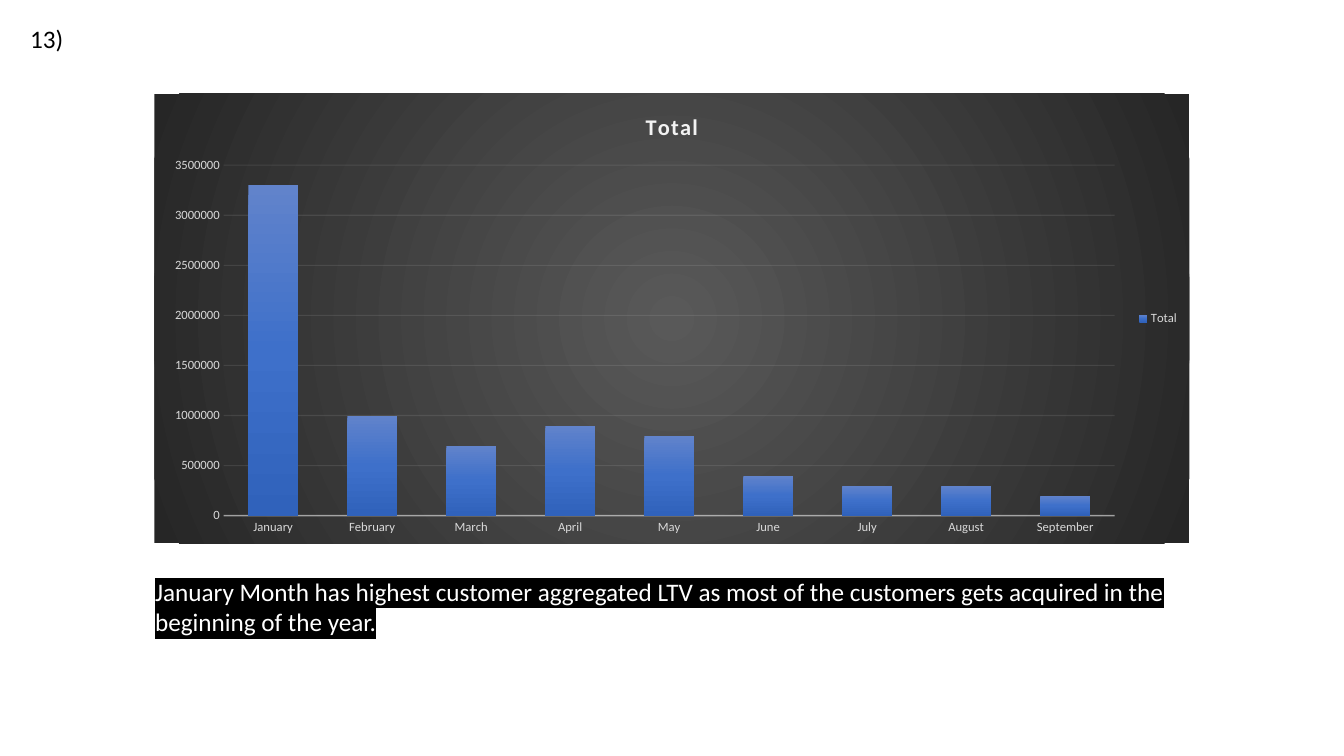
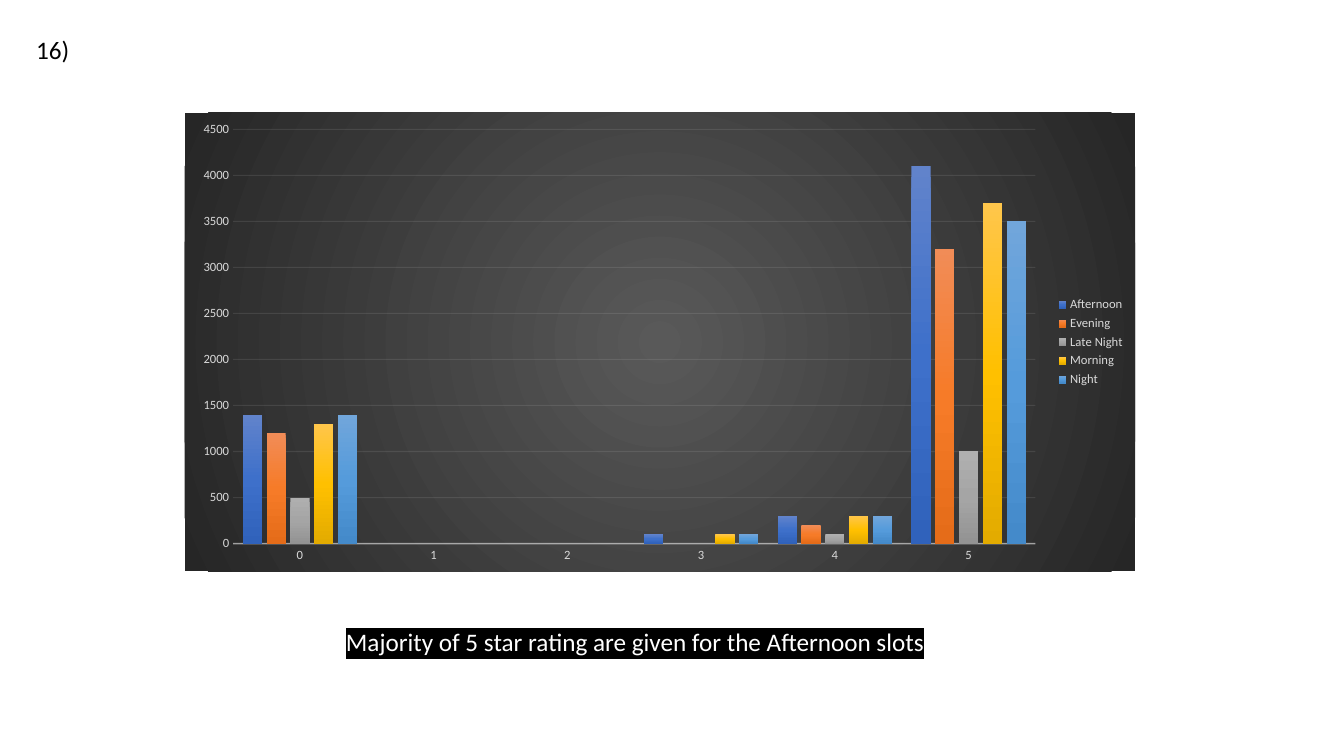
import dataclasses

import pptx
import pptx.chart.data
import pptx.dml.color
import pptx.enum.chart
import pptx.enum.text
import pptx.oxml
import pptx.oxml.ns
import pptx.util

Pt = pptx.util.Pt
qn = pptx.oxml.ns.qn
NS = pptx.oxml.ns.nsdecls("a", "c")


@dataclasses.dataclass(frozen=True)
class Theme:
    font: str = "Calibri"
    body_size: int = 18
    title_size: int = 16
    label_size: int = 9
    ink: str = "000000"
    paper: str = "FFFFFF"
    label: str = "D9D9D9"
    rule: str = "F2F2F2"
    panel: tuple = ("595959", "262626")
    bars: tuple = (
        ("6183CB", "3E70CA", "3062BB"),
        ("F18C57", "F67B28", "E56C19"),
        ("AFAFAF", "A5A5A5", "939393"),
        ("FFC64B", "FFC000", "E3AB00"),
        ("71A6DB", "559BDB", "448ACA"),
    )


def rgb(color):
    return pptx.dml.color.RGBColor.from_string(color)


def gradient(colors, direction):
    """Gradient fill with evenly spaced stops."""
    step = 100000 // (len(colors) - 1)
    stops = "".join(
        f'<a:gs pos="{i * step}"><a:srgbClr val="{color}"/></a:gs>'
        for i, color in enumerate(colors))
    return f"<a:gradFill {NS}><a:gsLst>{stops}</a:gsLst>{direction}</a:gradFill>"


def shape_format(fill):
    return pptx.oxml.parse_xml(
        f"<c:spPr {NS}>{fill}<a:ln><a:noFill/></a:ln></c:spPr>")


class Deck:
    VERTICAL = '<a:lin ang="5400000" scaled="0"/>'
    RADIAL = ('<a:path path="circle"><a:fillToRect l="50000" t="50000" '
              'r="50000" b="50000"/></a:path>')

    def __init__(self, theme):
        self.theme = theme
        self.file = pptx.Presentation()
        self.file.slide_width, self.file.slide_height = Pt(960), Pt(540)
        self.slide = None

    def new_slide(self):
        self.slide = self.file.slides.add_slide(self.file.slide_layouts[6])

    def style_font(self, font, size, color, bold=False):
        font.name, font.size, font.bold = self.theme.font, Pt(size), bold
        font.color.rgb = rgb(color)

    def stroke(self, line, width, opacity):
        line.width = Pt(width)
        line.color.rgb = rgb(self.theme.rule)
        color = line._get_or_add_ln().find(".//" + qn("a:srgbClr"))
        color.append(pptx.oxml.parse_xml(
            f'<a:alpha {NS} val="{opacity * 1000}"/>'))

    def text(self, words, box, color=None, highlight=None):
        frame = self.slide.shapes.add_textbox(*map(Pt, box)).text_frame
        frame.word_wrap = True
        frame.auto_size = pptx.enum.text.MSO_AUTO_SIZE.SHAPE_TO_FIT_TEXT
        run = frame.paragraphs[0].add_run()
        run.text = words
        self.style_font(run.font, self.theme.body_size, color or self.theme.ink)
        if highlight:
            run._r.rPr.find(qn("a:solidFill")).addnext(pptx.oxml.parse_xml(
                f'<a:highlight {NS}><a:srgbClr val="{highlight}"/></a:highlight>'))

    def caption(self, words, box):
        self.text(words, box, color=self.theme.paper, highlight=self.theme.ink)

    def column_chart(self, box, categories, series, top, step, title=None):
        theme = self.theme
        data = pptx.chart.data.CategoryChartData()
        data.categories = categories
        for name, values in series.items():
            data.add_series(name, values)
        chart = self.slide.shapes.add_chart(
            pptx.enum.chart.XL_CHART_TYPE.COLUMN_CLUSTERED,
            *map(Pt, box), data).chart
        self.style_font(chart.font, theme.label_size, theme.label)

        # Title
        chart.has_title = title is not None
        if title:
            run = chart.chart_title.text_frame.paragraphs[0].add_run()
            run.text = title
            self.style_font(run.font, theme.title_size, theme.rule, bold=True)
            run._r.rPr.set("spc", "100")
            chart.chart_title.include_in_layout = False

        # Legend
        chart.has_legend = True
        chart.legend.position = pptx.enum.chart.XL_LEGEND_POSITION.RIGHT
        chart.legend.include_in_layout = False
        self.style_font(chart.legend.font, theme.label_size, theme.label)

        # Axes
        months, amounts = chart.category_axis, chart.value_axis
        for axis in (months, amounts):
            axis.major_tick_mark = pptx.enum.chart.XL_TICK_MARK.NONE
            axis.minor_tick_mark = pptx.enum.chart.XL_TICK_MARK.NONE
            self.style_font(axis.tick_labels.font, theme.label_size, theme.label)
        self.stroke(months.format.line, 1, 54)
        amounts.format.line.fill.background()
        amounts.minimum_scale, amounts.maximum_scale = 0, top
        amounts.major_unit = step
        amounts.has_major_gridlines = True
        self.stroke(amounts.major_gridlines.format.line, 0.75, 10)

        # Bars
        plot = chart.plots[0]
        plot.gap_width, plot.overlap = 100, -24
        plot.vary_by_categories = False
        for bars, colors in zip(plot.series, theme.bars):
            bars._element.get_or_add_spPr().append(
                pptx.oxml.parse_xml(gradient(colors, self.VERTICAL)))

        # Dark panel behind a clear plot area
        body = chart._chartSpace.find(qn("c:chart"))
        body.addnext(shape_format(gradient(theme.panel, self.RADIAL)))
        body.find(qn("c:plotArea")).append(shape_format("<a:noFill/>"))


def main():
    deck = Deck(Theme())

    # Customer value by month
    deck.new_slide()
    deck.column_chart(
        (110.2, 67, 739.4, 321.1),
        ["January", "February", "March", "April", "May", "June", "July",
         "August", "September"],
        {"Total": [3300000, 1000000, 700000, 900000, 800000, 400000, 300000,
                   300000, 200000]},
        top=3500000, step=500000, title="Total")
    deck.caption(
        "January Month has highest customer aggregated LTV as most of the "
        "customers gets acquired in the beginning of the year.",
        (103.7, 408.2, 739.4, 51.1))
    deck.text("13)", (14.4, 13, 44, 28.8))

    # Ratings by time of day
    deck.new_slide()
    deck.column_chart(
        (131.8, 80.6, 679, 327.6),
        ["0", "1", "2", "3", "4", "5"],
        {"Afternoon": [1400, 0, 0, 100, 300, 4100],
         "Evening": [1200, 0, 0, 0, 200, 3200],
         "Late Night": [500, 0, 0, 0, 100, 1000],
         "Morning": [1300, 0, 0, 100, 300, 3700],
         "Night": [1400, 0, 0, 100, 300, 3500]},
        top=4500, step=500)
    deck.caption("Majority of 5 star rating are given for the Afternoon slots",
                 (240, 444.2, 480, 28.8))
    deck.text("16)", (18.7, 20.9, 44, 28.8))

    deck.file.save("out.pptx")


if __name__ == "__main__":
    main()
